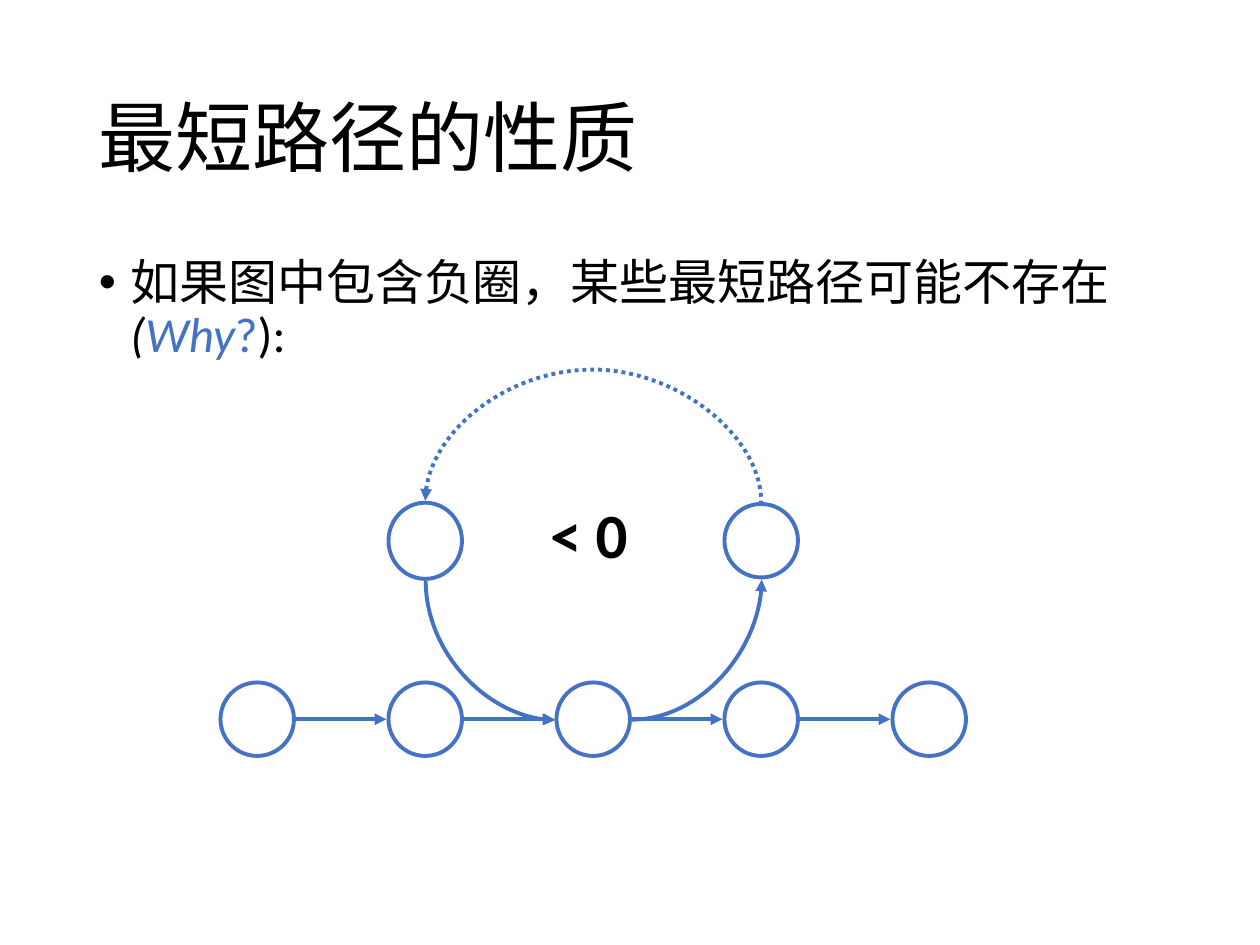
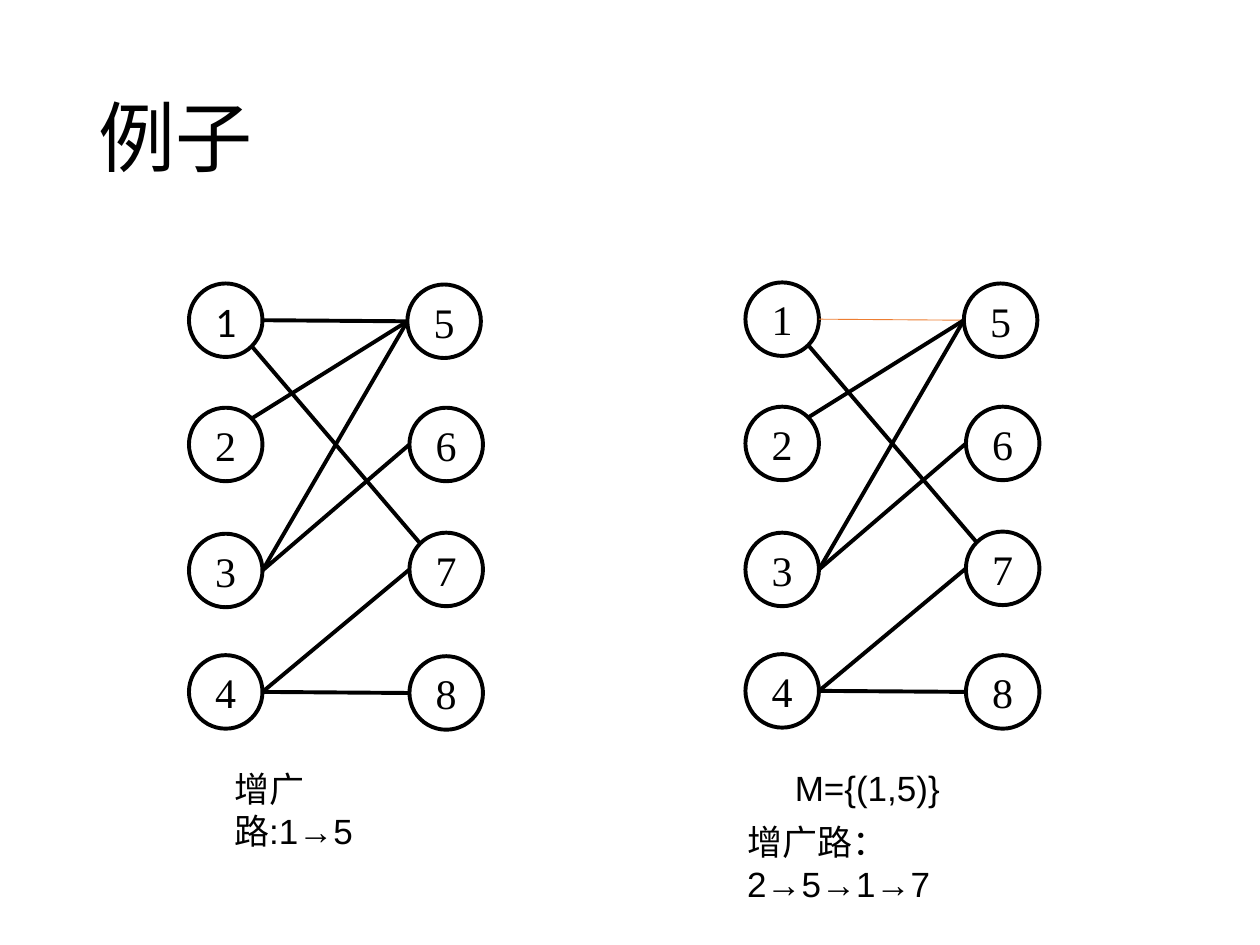
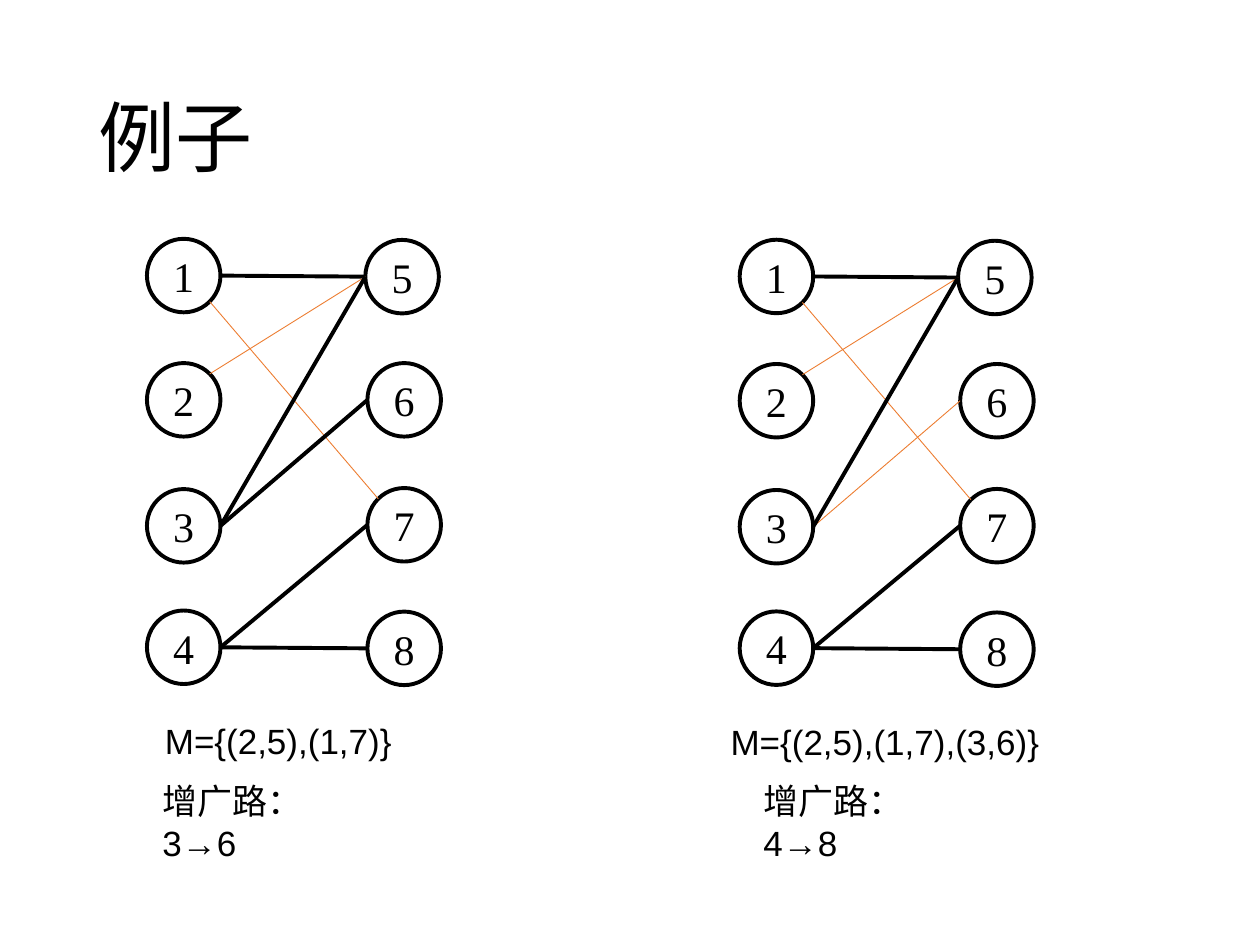
from dataclasses import dataclass
from math import cos, radians, sin
from typing import NamedTuple, Optional

from lxml import etree
from pptx import Presentation
from pptx.dml.color import RGBColor
from pptx.enum.dml import MSO_LINE
from pptx.enum.shapes import MSO_CONNECTOR, MSO_SHAPE
from pptx.enum.text import MSO_ANCHOR, PP_ALIGN
from pptx.oxml.ns import qn
from pptx.util import Pt

STRAIGHT, CURVE = MSO_CONNECTOR.STRAIGHT, MSO_CONNECTOR.CURVE
OVAL = MSO_SHAPE.OVAL
DOTTED = MSO_LINE.ROUND_DOT
TOP, MIDDLE = MSO_ANCHOR.TOP, MSO_ANCHOR.MIDDLE
LEFT, CENTER = PP_ALIGN.LEFT, PP_ALIGN.CENTER


@dataclass(frozen=True)
class Theme:
    black: RGBColor = RGBColor(0x00, 0x00, 0x00)
    white: RGBColor = RGBColor(0xFF, 0xFF, 0xFF)
    blue: RGBColor = RGBColor(0x44, 0x72, 0xC4)
    orange: RGBColor = RGBColor(0xED, 0x7D, 0x31)
    heading_font: str = "Calibri"
    caption_font: str = "Arial"
    node_font: str = "Times New Roman"
    title_size: float = 44
    emphasis_size: float = 36
    body_size: float = 28
    node_size: float = 24
    caption_size: float = 20
    thick: float = 2.25
    thin: float = 0.5


THEME = Theme()


class Box(NamedTuple):
    left: float
    top: float
    width: float
    height: float


class Point(NamedTuple):
    x: float
    y: float


class Run(NamedTuple):
    text: str
    color: RGBColor = THEME.black
    italic: bool = False


class Edge(NamedTuple):
    source: int
    target: int
    source_angle: float = 0
    target_angle: float = 180


class Curve(NamedTuple):
    box: Box
    rotation: int
    flip: str
    preset: str
    arrow_end: str
    dotted: bool = False
    adjustment: Optional[int] = None


class Caption(NamedTuple):
    text: str
    left: float
    top: float
    width: float
    wrap: bool = False


class Graph(NamedTuple):
    left: float
    top: float
    matching: tuple[tuple[int, int], ...]
    captions: tuple[Caption, ...]
    first_font: str = THEME.node_font


DIAMETER = 42
NODE_OFFSETS = {
    1: Point(0, 0), 2: Point(0, 71), 3: Point(0, 143), 4: Point(0, 212.4),
    5: Point(124.8, 0.6), 6: Point(126, 71), 7: Point(126, 142.4), 8: Point(126, 213),
}
EDGES = (
    Edge(1, 5), Edge(1, 7, 45, 225), Edge(2, 5, -45), Edge(3, 6),
    Edge(3, 5), Edge(4, 7), Edge(4, 8),
)

CHAIN_LEFT, CHAIN_TOP, CHAIN_STEP, CHAIN_COUNT = 126, 390, 96, 5
CYCLE_NODES = (Box(414, 288, DIAMETER, DIAMETER), Box(222, 287.25, DIAMETER, 43.5))
CYCLE_CURVES = (
    Curve(Box(361.25, 331.25, 74, 80), 0, "flipV", "curvedConnector2", "tailEnd"),
    Curve(Box(240.5, 334.75, 79.5, 74), 270, "flipH", "curvedConnector2", "tailEnd"),
    Curve(Box(338.6, 190.5, 0.75, 192), 90, "flipV", "curvedConnector3", "headEnd",
          True, -10166700),
)

EXAMPLES = (
    (
        Graph(108, 162, (), (
            Caption("增广路:1→5", 126.7, 434.9, 115, True),
        ), THEME.heading_font),
        Graph(426, 161.4, ((1, 5),), (
            Caption("M={(1,5)}", 447.1, 434.2, 97.9),
            Caption("增广路：2→5→1→7", 419.8, 465.1, 180, True),
        )),
    ),
    (
        Graph(84, 136.5, ((1, 7), (2, 5)), (
            Caption("M={(2,5),(1,7)}", 87.1, 407.5, 144.7),
            Caption("增广路：3→6", 85.7, 442.1, 122, True),
        )),
        Graph(422.7, 137, ((1, 7), (2, 5), (3, 6)), (
            Caption("M={(2,5),(1,7),(3,6)}", 410.4, 408.2, 191.5),
            Caption("增广路：4→8", 429.1, 442.1, 122, True),
        )),
    ),
)


def write_text(shape, *runs: Run, size: float, font: str = THEME.heading_font,
               bold: bool = False, align=LEFT, anchor=TOP, wrap: bool = True,
               line_spacing: float = 1.0, bullet: str = "") -> None:
    frame = shape.text_frame
    frame.word_wrap = wrap
    frame.vertical_anchor = anchor
    paragraph = frame.paragraphs[0]
    paragraph.alignment = align
    paragraph.line_spacing = line_spacing
    if bullet:
        properties = paragraph._p.get_or_add_pPr()
        properties.set("marL", str(Pt(18)))
        properties.set("indent", str(-Pt(18)))
        etree.SubElement(properties, qn("a:buFont")).set("typeface", "Arial")
        etree.SubElement(properties, qn("a:buChar")).set("char", bullet)
    for item in runs:
        run = paragraph.add_run()
        run.text = item.text
        run.font.name = font
        run.font.size = Pt(size)
        run.font.bold = bold
        run.font.italic = item.italic
        run.font.color.rgb = item.color


def add_text_box(slide, box: Box):
    return slide.shapes.add_textbox(*map(Pt, box))


def add_title(slide, title: str) -> None:
    write_text(add_text_box(slide, Box(49.5, 28.75, 621, 104.4)), Run(title),
               size=THEME.title_size, anchor=MIDDLE, line_spacing=0.9)


def add_circle(slide, box: Box, color: RGBColor, fill: Optional[RGBColor] = None):
    circle = slide.shapes.add_shape(OVAL, *map(Pt, box))
    circle.shadow.inherit = False
    if fill is None:
        circle.fill.background()
    else:
        circle.fill.solid()
        circle.fill.fore_color.rgb = fill
    circle.line.color.rgb = color
    circle.line.width = Pt(THEME.thick)
    return circle


def add_line(slide, start: Point, end: Point, color: RGBColor, width: float,
             kind=STRAIGHT, arrow_end: str = "", dotted: bool = False):
    connector = slide.shapes.add_connector(kind, *map(Pt, (*start, *end)))
    connector.line.color.rgb = color
    connector.line.width = Pt(width)
    if dotted:
        connector.line.dash_style = DOTTED
    properties = connector.element.spPr
    if arrow_end:
        line = properties.find(qn("a:ln"))
        etree.SubElement(line, qn(f"a:{arrow_end}")).set("type", "triangle")
    etree.SubElement(properties, qn("a:effectLst"))
    return connector


def add_curve(slide, curve: Curve) -> None:
    left, top, width, height = curve.box
    connector = add_line(slide, Point(left, top), Point(left + width, top + height),
                         THEME.blue, THEME.thick, CURVE, curve.arrow_end, curve.dotted)
    properties = connector.element.spPr
    transform = properties.find(qn("a:xfrm"))
    transform.set("rot", str(curve.rotation * 60000))
    transform.set(curve.flip, "1")
    geometry = properties.find(qn("a:prstGeom"))
    geometry.set("prst", curve.preset)
    if curve.adjustment is not None:
        guide = etree.SubElement(geometry.find(qn("a:avLst")), qn("a:gd"))
        guide.set("name", "adj1")
        guide.set("fmla", f"val {curve.adjustment}")


def node_anchor(graph: Graph, number: int, angle: float) -> Point:
    offset = NODE_OFFSETS[number]
    radius = DIAMETER / 2
    return Point(graph.left + offset.x + radius * (1 + cos(radians(angle))),
                 graph.top + offset.y + radius * (1 + sin(radians(angle))))


def add_graph(slide, graph: Graph) -> None:
    for number, offset in NODE_OFFSETS.items():
        box = Box(graph.left + offset.x, graph.top + offset.y, DIAMETER, DIAMETER)
        write_text(add_circle(slide, box, THEME.black), Run(str(number)),
                   size=THEME.node_size, align=CENTER, anchor=MIDDLE, wrap=False,
                   font=graph.first_font if number == 1 else THEME.node_font)
    for edge in EDGES:
        matched = (edge.source, edge.target) in graph.matching
        add_line(slide, node_anchor(graph, edge.source, edge.source_angle),
                 node_anchor(graph, edge.target, edge.target_angle),
                 THEME.orange if matched else THEME.black,
                 THEME.thin if matched else THEME.thick)
    for caption in graph.captions:
        box = Box(caption.left, caption.top, caption.width, 31.5)
        write_text(add_text_box(slide, box), Run(caption.text), wrap=caption.wrap,
                   size=THEME.caption_size, font=THEME.caption_font)


def add_negative_cycle(slide) -> None:
    chain = [Box(CHAIN_LEFT + CHAIN_STEP * index, CHAIN_TOP, DIAMETER, DIAMETER)
             for index in range(CHAIN_COUNT)]
    for box in (*chain, *CYCLE_NODES):
        add_circle(slide, box, THEME.blue, THEME.white)
    middle = CHAIN_TOP + DIAMETER / 2
    for box, following in zip(chain, chain[1:]):
        add_line(slide, Point(box.left + DIAMETER + 1.2, middle),
                 Point(following.left - 1.2, middle),
                 THEME.blue, THEME.thick, arrow_end="tailEnd")
    for curve in CYCLE_CURVES:
        add_curve(slide, curve)
    write_text(add_text_box(slide, Box(305.5, 279.5, 62, 50.5)), Run("< 0"),
               size=THEME.emphasis_size, bold=True, align=CENTER, wrap=False)


def main() -> None:
    presentation = Presentation()
    presentation.slide_width, presentation.slide_height = Pt(720), Pt(540)
    blank = presentation.slide_layouts[6]

    slide = presentation.slides.add_slide(blank)
    add_title(slide, "最短路径的性质")
    write_text(add_text_box(slide, Box(49.5, 143.75, 621, 342.6)),
               Run("如果图中包含负圈，某些最短路径可能不存在 "),
               Run("(", italic=True), Run("Why", THEME.blue, True),
               Run("?", THEME.blue), Run("):"),
               size=THEME.body_size, line_spacing=0.9, bullet="•")
    add_negative_cycle(slide)

    for graphs in EXAMPLES:
        slide = presentation.slides.add_slide(blank)
        add_title(slide, "例子")
        for graph in graphs:
            add_graph(slide, graph)

    presentation.save("out.pptx")


if __name__ == "__main__":
    main()
